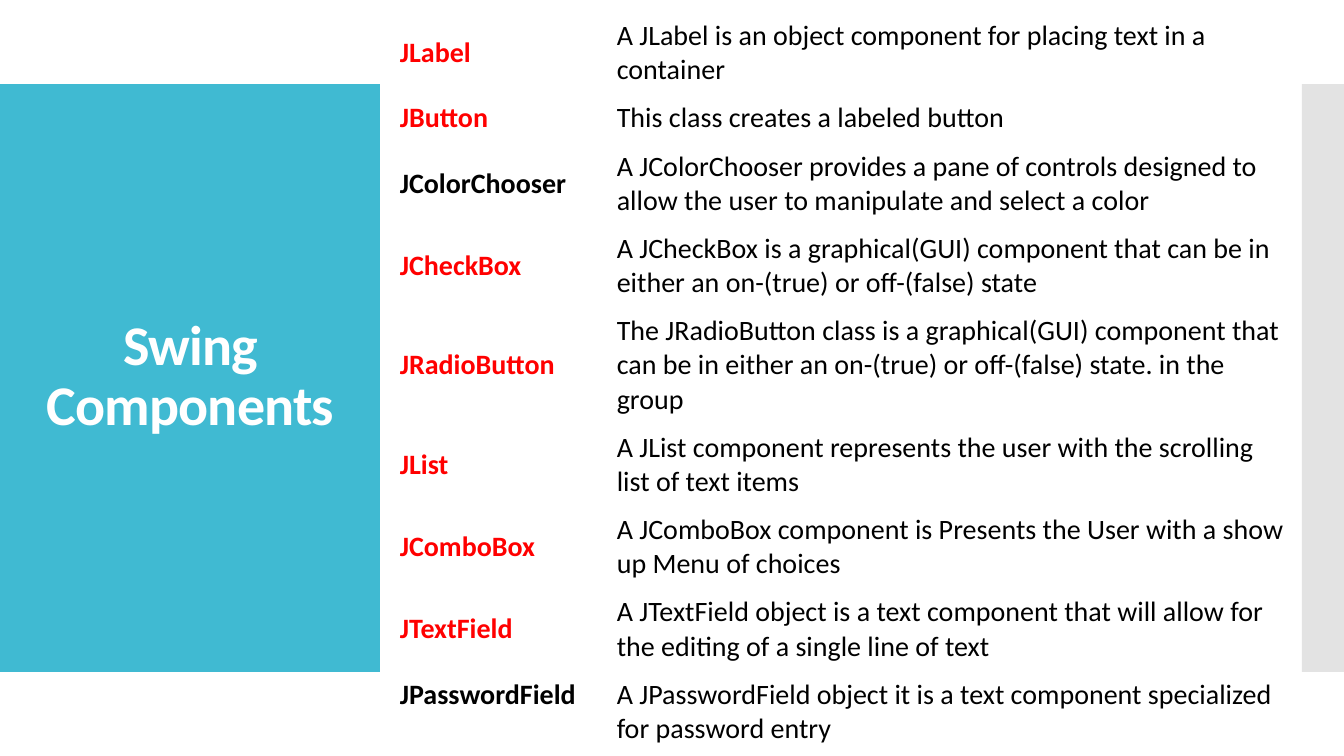
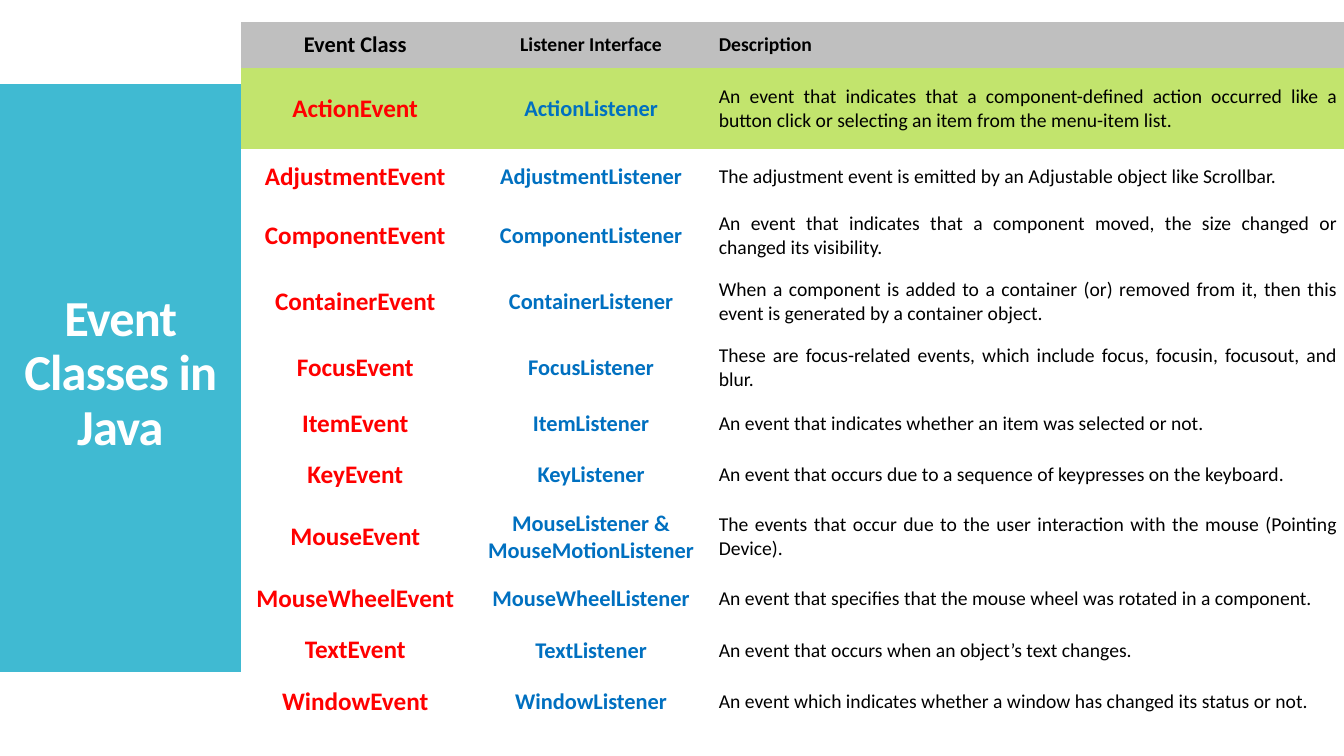
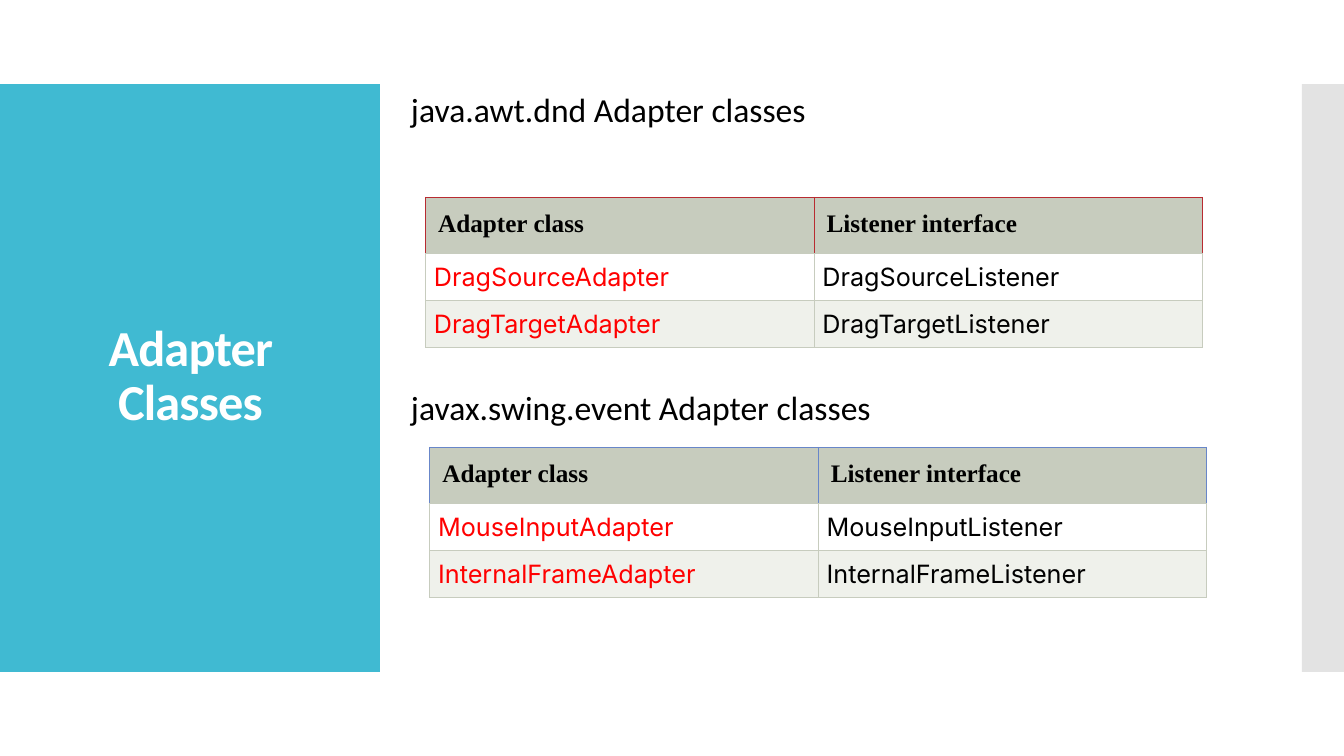
import dataclasses

import lxml.etree
import pptx
import pptx.dml.color
import pptx.enum.shapes
import pptx.enum.text
import pptx.oxml.ns
import pptx.util

Pt = pptx.util.Pt
qn = pptx.oxml.ns.qn
ALIGN = pptx.enum.text.PP_ALIGN
ANCHOR = pptx.enum.text.MSO_ANCHOR

COLORS = {
    "panel": "40BAD2",
    "side": "C8C8C8",
    "white": "FFFFFF",
    "black": "000000",
    "red": "FF0000",
    "blue": "0070C0",
    "header": "BFBFBF",
    "highlight": "C2E46D",
    "sage": "C7CCBE",
    "pale sage": "EFF1EB",
    "crimson line": "B82B31",
    "blue line": "6886C9",
}
SLIDE_WIDTH, SLIDE_HEIGHT = 960, 540
BAND_TOP, BAND_HEIGHT = 60, 420
PANEL_WIDTH, SIDE_WIDTH = 271.4, 30
PLAIN_TABLE_STYLE = "{2D5ABB26-0587-4C30-8999-92F81FD0307C}"


@dataclasses.dataclass(frozen=True)
class TextStyle:
    size: float
    color: str = "black"
    bold: bool = False
    font: str = "Calibri"
    align: ALIGN = ALIGN.LEFT


TITLE = TextStyle(36, "white", True, align=ALIGN.CENTER)
BIG_TITLE = dataclasses.replace(TITLE, size=40)
HEADING = TextStyle(24)

COMPONENT = TextStyle(20, "red", True)
OTHER_COMPONENT = TextStyle(20, bold=True)
COMPONENT_TEXT = TextStyle(20)

EVENT_HEADER = [
    TextStyle(16, bold=True, align=ALIGN.CENTER),
    TextStyle(14, bold=True, align=ALIGN.CENTER),
    TextStyle(14, bold=True, align=ALIGN.JUSTIFY),
]
EVENT_ROW = [
    TextStyle(18, "red", True, align=ALIGN.CENTER),
    TextStyle(16, "blue", True, align=ALIGN.CENTER),
    TextStyle(14, align=ALIGN.JUSTIFY),
]

ADAPTER_HEADER = TextStyle(18, bold=True, font="Times New Roman")
ADAPTER_ROW = [
    TextStyle(18, "red", font="Inter", align=ALIGN.JUSTIFY),
    TextStyle(18, font="Inter", align=ALIGN.JUSTIFY),
]

# Name, description, number of text lines
COMPONENTS = [
    ("JLabel", "A JLabel is an object component for placing text in a container", 2),
    ("JButton", "This class creates a labeled button", 1),
    ("JColorChooser", "A JColorChooser provides a pane of controls designed to allow "
     "the user to manipulate and select a color", 2),
    ("JCheckBox", "A JCheckBox is a graphical(GUI) component that can be in either an "
     "on-(true) or off-(false) state", 2),
    ("JRadioButton", "The JRadioButton class is a graphical(GUI) component that can be "
     "in either an on-(true) or off-(false) state. in the group", 3),
    ("JList", "A JList component represents the user with the scrolling list of text "
     "items", 2),
    ("JComboBox", "A JComboBox component is Presents the User with a show up Menu of "
     "choices", 2),
    ("JTextField", "A JTextField object is a text component that will allow for the "
     "editing of a single line of text", 2),
    ("JPasswordField", "A JPasswordField object it is a text component specialized for "
     "password entry", 2),
]
OTHER_COMPONENTS = {"JColorChooser", "JPasswordField"}

EVENTS = [
    ("Event Class", "Listener Interface", "Description"),
    ("ActionEvent", "ActionListener", "An event that indicates that a component-defined "
     "action occurred like a button click or selecting an item from the menu-item list."),
    ("AdjustmentEvent", "AdjustmentListener",
     "The adjustment event is emitted by an Adjustable object like Scrollbar."),
    ("ComponentEvent", "ComponentListener", "An event that indicates that a component "
     "moved, the size changed or changed its visibility."),
    ("ContainerEvent", "ContainerListener", "When a component is added to a container "
     "(or) removed from it, then this event is generated by a container object."),
    ("FocusEvent", "FocusListener", "These are focus-related events, which include "
     "focus, focusin, focusout, and blur."),
    ("ItemEvent", "ItemListener",
     "An event that indicates whether an item was selected or not."),
    ("KeyEvent", "KeyListener",
     "An event that occurs due to a sequence of keypresses on the keyboard."),
    ("MouseEvent", "MouseListener & MouseMotionListener", "The events that occur due to "
     "the user interaction with the mouse (Pointing Device)."),
    ("MouseWheelEvent", "MouseWheelListener",
     "An event that specifies that the mouse wheel was rotated in a component."),
    ("TextEvent", "TextListener", "An event that occurs when an object’s text changes."),
    ("WindowEvent", "WindowListener",
     "An event which indicates whether a window has changed its status or not."),
]
EVENT_HEIGHTS = [33, 58, 39, 46, 48, 46, 34, 39, 50, 39, 34, 39]

ADAPTER_COLUMNS = ("Adapter class", "Listener interface")
DRAG_ADAPTERS = [
    ("DragSourceAdapter", "DragSourceListener"),
    ("DragTargetAdapter", "DragTargetListener"),
]
SWING_ADAPTERS = [
    ("MouseInputAdapter", "MouseInputListener"),
    ("InternalFrameAdapter", "InternalFrameListener"),
]


def rgb(name):
    return pptx.dml.color.RGBColor.from_string(COLORS[name])


def style_paragraph(paragraph, style):
    paragraph.alignment = style.align
    paragraph.font.name = style.font
    paragraph.font.size = Pt(style.size)
    paragraph.font.bold = style.bold
    paragraph.font.color.rgb = rgb(style.color)


def add_band(slide, left, width, color, opacity=100):
    band = slide.shapes.add_shape(
        pptx.enum.shapes.MSO_SHAPE.RECTANGLE,
        Pt(left), Pt(BAND_TOP), Pt(width), Pt(BAND_HEIGHT))
    band.shadow.inherit = False
    band.line.fill.background()
    band.fill.solid()
    band.fill.fore_color.rgb = rgb(color)
    if opacity < 100:
        color_element = band._element.spPr.find(qn("a:solidFill"))[0]
        lxml.etree.SubElement(color_element, qn("a:alpha"), val=str(opacity * 1000))


def add_title(slide, text, style, left, top, width):
    box = slide.shapes.add_textbox(Pt(left), Pt(top), Pt(width), Pt(362))
    frame = box.text_frame
    frame.word_wrap = True
    frame.vertical_anchor = ANCHOR.MIDDLE
    paragraph = frame.paragraphs[0]
    run = paragraph.add_run()
    run.text = text
    run.font._element.set("spc", "-60")
    paragraph.line_spacing = 0.9
    style_paragraph(paragraph, style)


def add_titled_slide(presentation, title, style=TITLE, left=20, top=88.5, width=232):
    """Add a slide with the two side bands and a title on the left one."""
    slide = presentation.slides.add_slide(presentation.slide_layouts[6])
    add_band(slide, 0, PANEL_WIDTH, "panel")
    add_band(slide, SLIDE_WIDTH - SIDE_WIDTH, SIDE_WIDTH, "side", opacity=50)
    add_title(slide, title, style, left, top, width)
    return slide


def add_heading(slide, text, top, width):
    box = slide.shapes.add_textbox(Pt(286.5), Pt(top), Pt(width), Pt(36))
    frame = box.text_frame
    frame.word_wrap = False
    frame.auto_size = pptx.enum.text.MSO_AUTO_SIZE.SHAPE_TO_FIT_TEXT
    frame.text = text
    style_paragraph(frame.paragraphs[0], HEADING)


def add_plain_table(slide, left, top, widths, heights):
    """Add a table without borders, fills or banding."""
    table = slide.shapes.add_table(
        len(heights), len(widths), Pt(left), Pt(top),
        Pt(sum(widths)), Pt(sum(heights))).table
    table.first_row = False
    table.horz_banding = False
    table._tbl.tblPr.find(qn("a:tableStyleId")).text = PLAIN_TABLE_STYLE
    for column, width in zip(table.columns, widths):
        column.width = Pt(width)
    for row, height in zip(table.rows, heights):
        row.height = Pt(height)
    return table


def fill_cell(cell, text, style, fill, insets, anchor=ANCHOR.MIDDLE):
    """Write one cell; insets are (horizontal, vertical)."""
    cell.margin_left = cell.margin_right = Pt(insets[0])
    cell.margin_top = cell.margin_bottom = Pt(insets[1])
    cell.vertical_anchor = anchor
    cell.fill.solid()
    cell.fill.fore_color.rgb = rgb(fill)
    cell.text = text
    style_paragraph(cell.text_frame.paragraphs[0], style)


def set_borders(cell, outer, bottom):
    """Draw left, right and top lines in one colour and the bottom in another."""
    properties = cell._tc.get_or_add_tcPr()
    sides = [("a:lnL", outer), ("a:lnR", outer), ("a:lnT", outer), ("a:lnB", bottom)]
    for position, (tag, color) in enumerate(sides):
        line = lxml.etree.Element(qn(tag), w=str(Pt(0.75)))
        solid = lxml.etree.SubElement(line, qn("a:solidFill"))
        lxml.etree.SubElement(solid, qn("a:srgbClr"), val=COLORS[color])
        properties.insert(position, line)


def add_component_table(slide):
    heights = [10 + 24.4 * lines for _, _, lines in COMPONENTS]
    table = add_plain_table(slide, 282, 8.5, [155, 490], heights)
    for row, (name, description, _) in enumerate(COMPONENTS):
        style = OTHER_COMPONENT if name in OTHER_COMPONENTS else COMPONENT
        anchor = ANCHOR.TOP if row == len(COMPONENTS) - 1 else ANCHOR.MIDDLE
        fill_cell(table.cell(row, 0), name, style, "white", (3.6, 5), anchor)
        fill_cell(table.cell(row, 1), description, COMPONENT_TEXT, "white", (3.6, 5))


def add_event_table(slide):
    table = add_plain_table(slide, 172, 15.7, [163.5, 173.5, 451], EVENT_HEIGHTS)
    fills = ["header", "highlight"] + ["white"] * (len(EVENTS) - 2)
    for row, (texts, fill) in enumerate(zip(EVENTS, fills)):
        styles = EVENT_HEADER if row == 0 else EVENT_ROW
        for column, (text, style) in enumerate(zip(texts, styles)):
            fill_cell(table.cell(row, column), text, style, fill, (4.5, 5.7))


def add_adapter_table(slide, left, top, adapters, header_line):
    table = add_plain_table(slide, left, top, [277.5, 277.5], [40, 33.6, 33.6])
    for row, texts in enumerate([ADAPTER_COLUMNS] + adapters):
        for column, text in enumerate(texts):
            cell = table.cell(row, column)
            if row == 0:
                fill_cell(cell, text, ADAPTER_HEADER, "sage", (9, 9), ANCHOR.TOP)
                set_borders(cell, header_line, "sage")
            else:
                fill = "white" if row % 2 else "pale sage"
                fill_cell(cell, text, ADAPTER_ROW[column], fill, (6, 6), ANCHOR.TOP)
                set_borders(cell, "sage", "sage")


def main():
    presentation = pptx.Presentation()
    presentation.slide_width = Pt(SLIDE_WIDTH)
    presentation.slide_height = Pt(SLIDE_HEIGHT)

    add_component_table(add_titled_slide(presentation, "Swing Components", BIG_TITLE))

    add_event_table(add_titled_slide(
        presentation, "Event Classes in Java", left=0, top=86.5, width=172))

    adapters = add_titled_slide(presentation, "Adapter Classes")
    add_heading(adapters, "java.awt.dnd Adapter classes", 60, 310)
    add_adapter_table(adapters, 304, 141, DRAG_ADAPTERS, "crimson line")
    add_adapter_table(adapters, 307, 319.5, SWING_ADAPTERS, "blue line")
    add_heading(adapters, "javax.swing.event Adapter classes", 273, 354)

    presentation.save("out.pptx")


if __name__ == "__main__":
    main()
